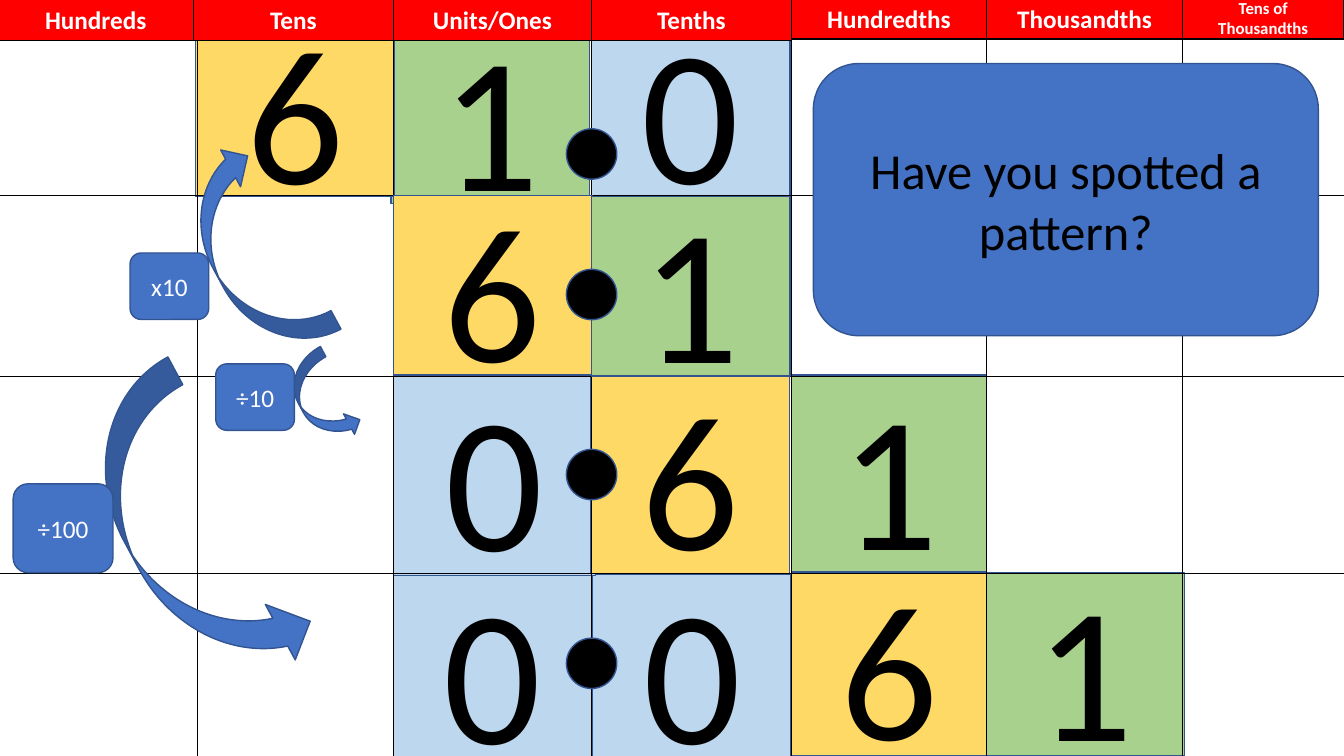
"""Build a place value slide showing 6.1 multiplied and divided by powers of ten."""
from dataclasses import dataclass
from itertools import pairwise

from lxml.etree import SubElement
from pptx import Presentation
from pptx.dml.color import RGBColor
from pptx.enum.shapes import MSO_CONNECTOR, MSO_SHAPE
from pptx.enum.text import MSO_ANCHOR, PP_ALIGN
from pptx.oxml.ns import qn
from pptx.shapes.autoshape import Shape
from pptx.slide import Slide
from pptx.util import Pt

FONT = "Calibri"
BLACK, WHITE, RED = "000000", "FFFFFF", "FF0000"
BLUE, NAVY = "4472C4", "325491"
SIX, ONE, ZERO = "FFD966", "A9D18E", "BDD7EE"
DIGIT_FILLS = {"6": SIX, "1": ONE, "0": ZERO}
WIDTH, HEIGHT = 960, 540


@dataclass(frozen=True)
class Box:
    left: float
    top: float
    width: float
    height: float
    text: str = ""
    kind: MSO_SHAPE = MSO_SHAPE.ROUNDED_RECTANGLE
    fill: str = BLUE
    line: str = NAVY
    size: float = 18
    color: str = WHITE
    bold: bool = False


@dataclass(frozen=True)
class Arrow:
    box: Box
    flips: tuple[str, ...]


def digit(text: str, left: float, top: float, width: float, height: float) -> Box:
    return Box(left, top, width, height, text, MSO_SHAPE.RECTANGLE,
               DIGIT_FILLS[text], size=138, color=BLACK)


def curve(left: float, top: float, width: float, height: float, *flips: str) -> Arrow:
    return Arrow(Box(left, top, width, height, kind=MSO_SHAPE.CURVED_RIGHT_ARROW), flips)


COLUMN_LINES = (141, 281, 422.6, 565.2, 704.9, 844.6)
ROW_LINES = (139.8, 268.6, 409.7)
HEADER_EDGES = (-1.4, 138.2, *COLUMN_LINES[1:], WIDTH)
HEADERS = ("Hundreds", "Tens", "Units/Ones", "Tenths", "Hundredths",
           "Thousandths", "Tens of Thousandths")
POINT_LEFT, POINT_SIZE = 404.6, 36

DIGITS_UNDER_GRID = (
    digit("0", 281, 410.4, 141.8, 131.8),
    digit("0", 423.4, 410.4, 141.8, 131.8),
    digit("1", 703.6, 409.4, 142.4, 130.6),
    digit("6", 565.2, 406.8, 139.7, 133.2),
    digit("0", 281, 266.6, 144.6, 144.6),
    digit("1", 565.2, 268, 139.7, 140.6),
    digit("6", 422, 265.8, 141.8, 144),
    digit("0", 422.6, 12.2, 141.8, 128.2),
    digit("1", 279.4, 17.2, 141.8, 128.2),
    digit("6", 139.8, 12.2, 141.8, 128.2),
)
DIGITS_OVER_GRID = (
    digit("6", 281, 139.8, 141.8, 128.2),
    digit("1", 422.6, 140.4, 141.8, 128.2),
)
POINT_TOPS = (92, 192.4, 321, 455.8)
ARROWS = (
    curve(150.5, 103, 59.8, 155.5, "flipH"),
    curve(213.8, 251.3, 33.1, 67.7, "flipH", "flipV"),
    curve(91.4, 262.1, 90, 236.9, "flipH", "flipV"),
)
LABELS = (
    Box(92.9, 180.7, 56.2, 47.5, "x10"),
    Box(154.1, 259.9, 56.2, 47.5, "÷10"),
    Box(9.4, 345.6, 71.3, 63.4, "÷100"),
    Box(581, 45.4, 360.7, 194.4, "Have you spotted a pattern?", size=36, color=BLACK),
)


def rgb(value: str) -> RGBColor:
    return RGBColor.from_string(value)


def draw_box(slide: Slide, box: Box) -> Shape:
    shape = slide.shapes.add_shape(
        box.kind, Pt(box.left), Pt(box.top), Pt(box.width), Pt(box.height))
    shape.shadow.inherit = False
    shape.fill.solid()
    shape.fill.fore_color.rgb = rgb(box.fill)
    shape.line.color.rgb = rgb(box.line)
    shape.line.width = Pt(1)
    if box.text:
        frame = shape.text_frame
        frame.word_wrap = True
        frame.vertical_anchor = MSO_ANCHOR.MIDDLE
        paragraph = frame.paragraphs[0]
        paragraph.text = box.text
        paragraph.alignment = PP_ALIGN.CENTER
        font = paragraph.font
        font.name = FONT
        font.size = Pt(box.size)
        font.bold = box.bold
        font.color.rgb = rgb(box.color)
    return shape


def draw_arrow(slide: Slide, arrow: Arrow) -> None:
    shape = draw_box(slide, arrow.box)
    shape.rotation = 151.7
    transform = shape._element.spPr.find(qn("a:xfrm"))
    for flip in arrow.flips:
        transform.set(flip, "1")


def draw_line(slide: Slide, x1: float, y1: float, x2: float, y2: float) -> None:
    line = slide.shapes.add_connector(
        MSO_CONNECTOR.STRAIGHT, Pt(x1), Pt(y1), Pt(x2), Pt(y2))
    line.line.color.rgb = rgb(BLACK)
    line.line.width = Pt(0.5)
    SubElement(line._element.spPr, qn("a:effectLst"))


def draw_headers(slide: Slide) -> None:
    for index, (left, right) in enumerate(pairwise(HEADER_EDGES)):
        top = -1.4 if index < 4 else -2.2
        size = 12 if index == len(HEADERS) - 1 else 18
        draw_box(slide, Box(left, top, right - left, 30.2, HEADERS[index],
                            MSO_SHAPE.RECTANGLE, RED, BLACK, size, bold=True))


def main() -> None:
    presentation = Presentation()
    presentation.slide_width, presentation.slide_height = Pt(WIDTH), Pt(HEIGHT)
    slide = presentation.slides.add_slide(presentation.slide_layouts[6])
    for box in DIGITS_UNDER_GRID:
        draw_box(slide, box)
    for y in ROW_LINES:
        draw_line(slide, 0, y, WIDTH, y)
    for x in COLUMN_LINES:
        draw_line(slide, x, 0, x, HEIGHT)
    for box in DIGITS_OVER_GRID:
        draw_box(slide, box)
    for top in POINT_TOPS:
        draw_box(slide, Box(POINT_LEFT, top, POINT_SIZE, POINT_SIZE,
                            kind=MSO_SHAPE.OVAL, fill=BLACK))
    draw_headers(slide)
    for arrow in ARROWS:
        draw_arrow(slide, arrow)
    for label in LABELS:
        draw_box(slide, label)
    presentation.save("out.pptx")


if __name__ == "__main__":
    main()
